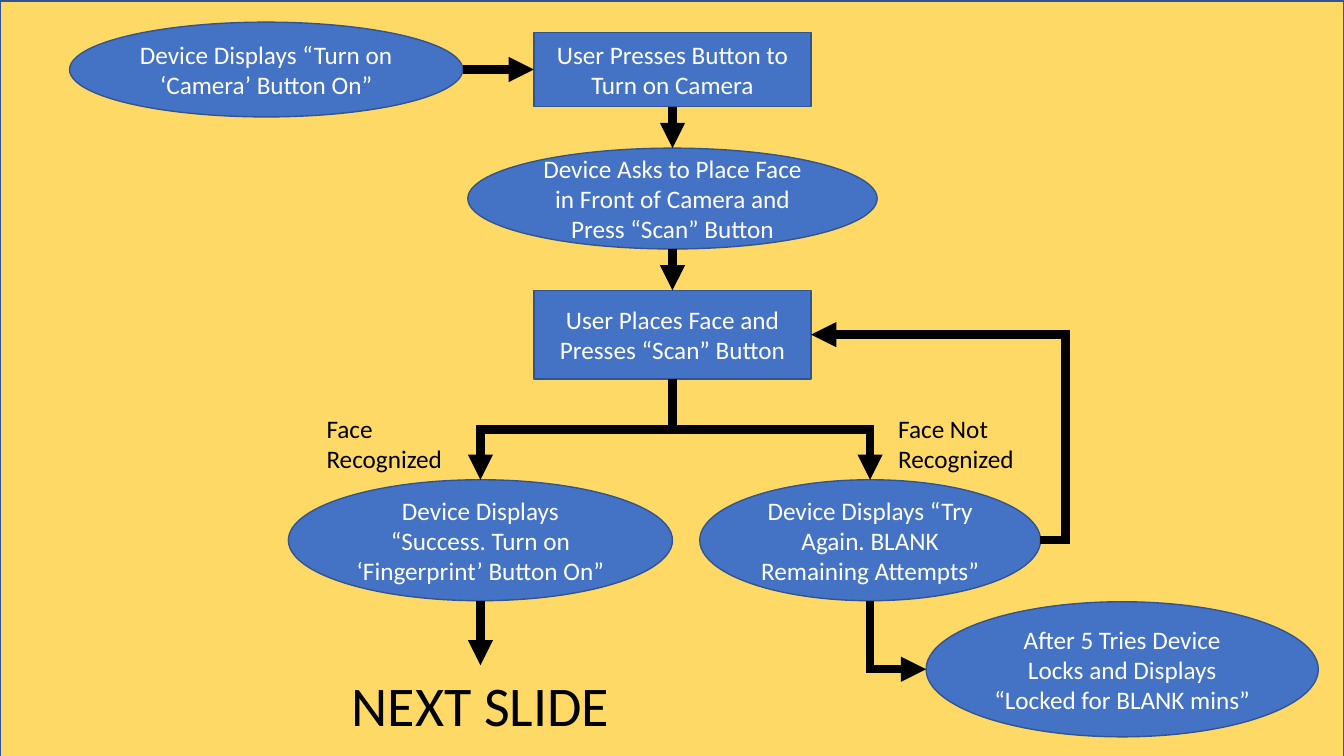
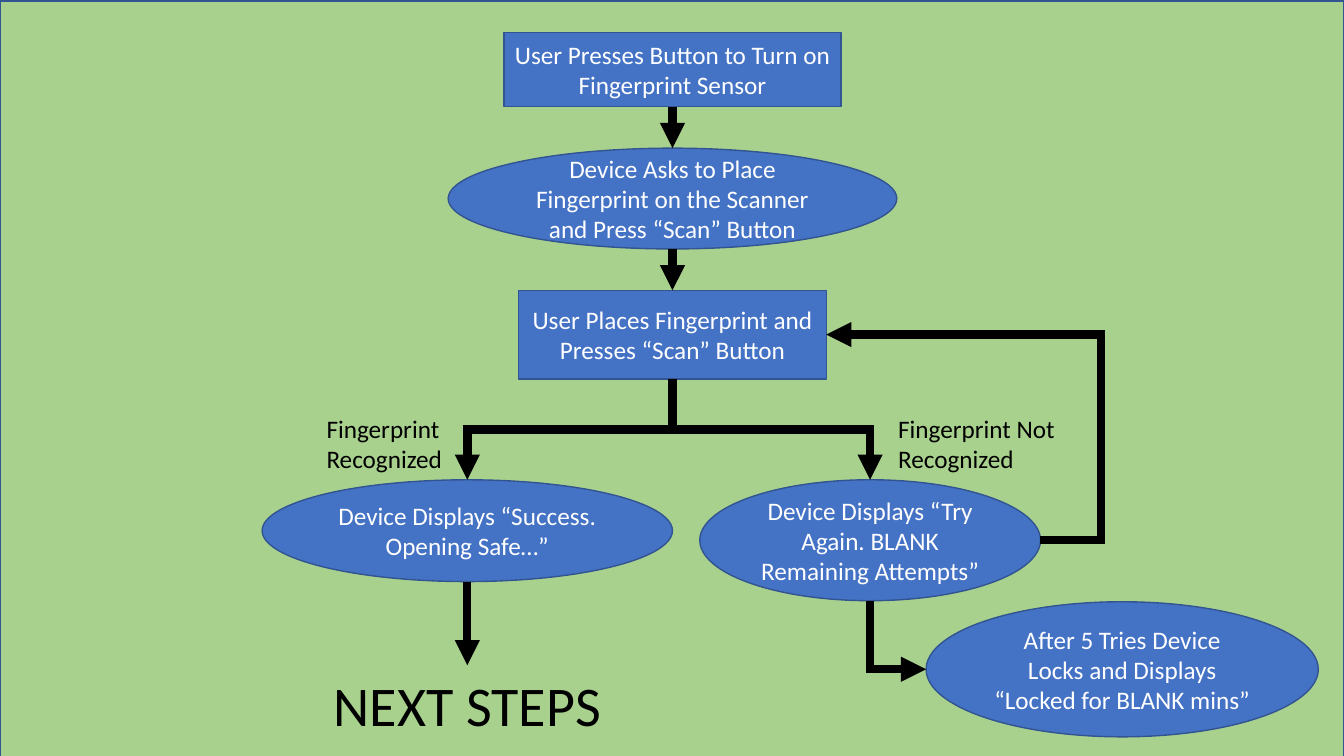
from dataclasses import dataclass

from lxml.etree import SubElement
from pptx import Presentation
from pptx.dml.color import RGBColor
from pptx.enum.shapes import MSO_CONNECTOR, MSO_SHAPE
from pptx.enum.text import MSO_ANCHOR, PP_ALIGN
from pptx.oxml.ns import qn
from pptx.util import Inches, Pt

SLIDE_WIDTH, SLIDE_HEIGHT = 13.33, 7.5
CENTRE = 6.67
RETRY_CENTRE = 8.63
SITES = {"top": 0, "left": 1, "bottom": 2, "right": 3}


@dataclass(frozen=True)
class Theme:
    font: str = "Calibri"
    body_size: int = 18
    closing_size: int = 40
    outline_width: float = 1
    arrow_width: float = 6
    node: RGBColor = RGBColor(0x44, 0x72, 0xC4)
    outline: RGBColor = RGBColor(0x32, 0x54, 0x91)
    light: RGBColor = RGBColor(0xFF, 0xFF, 0xFF)
    dark: RGBColor = RGBColor(0, 0, 0)
    yellow: RGBColor = RGBColor(0xFF, 0xD9, 0x66)
    green: RGBColor = RGBColor(0xA9, 0xD1, 0x8E)


@dataclass(frozen=True)
class ScanStage:
    """What differs between the flowcharts; sizes are in inches."""
    background: RGBColor
    press: str
    press_width: float
    ask: str
    ask_width: float
    scan: str
    scan_width: float
    recognized: str
    not_recognized: str
    not_recognized_width: float
    success: str
    success_width: float
    success_height: float
    loop_reach: float
    closing: str
    intro: str = ""


def side_point(shape, side):
    middle_x = shape.left + shape.width // 2
    middle_y = shape.top + shape.height // 2
    return {
        "top": (middle_x, shape.top),
        "left": (shape.left, middle_y),
        "bottom": (middle_x, shape.top + shape.height),
        "right": (shape.left + shape.width, middle_y),
    }[side]


def is_ellipse(shape):
    return shape.element.spPr.find(qn("a:prstGeom")).get("prst") == "ellipse"


class FlowchartBuilder:
    def __init__(self, presentation, theme):
        self.presentation = presentation
        self.theme = theme
        self.slide = None

    def add_slide(self, background):
        blank_layout = self.presentation.slide_layouts[6]
        self.slide = self.presentation.slides.add_slide(blank_layout)
        self.panel(MSO_SHAPE.RECTANGLE, 0, 0.01, SLIDE_WIDTH, SLIDE_HEIGHT, background)

    def panel(self, kind, left, top, width, height, colour):
        shape = self.slide.shapes.add_shape(
            kind, Inches(left), Inches(top), Inches(width), Inches(height))
        shape.shadow.inherit = False
        shape.fill.solid()
        shape.fill.fore_color.rgb = colour
        shape.line.color.rgb = self.theme.outline
        shape.line.width = Pt(self.theme.outline_width)
        return shape

    def set_text(self, shape, text, size, colour, alignment):
        shape.text_frame.word_wrap = True
        shape.text_frame.text = text
        paragraph = shape.text_frame.paragraphs[0]
        paragraph.alignment = alignment
        font = paragraph.runs[0].font
        font.name = self.theme.font
        font.size = Pt(size)
        font.color.rgb = colour

    def node(self, kind, text, centre, top, width, height):
        shape = self.panel(kind, centre - width / 2, top, width, height, self.theme.node)
        self.set_text(shape, text, self.theme.body_size, self.theme.light, PP_ALIGN.CENTER)
        shape.text_frame.vertical_anchor = MSO_ANCHOR.MIDDLE
        return shape

    def action(self, *details):
        """A step the user takes."""
        return self.node(MSO_SHAPE.RECTANGLE, *details)

    def display(self, *details):
        """A message the device shows."""
        return self.node(MSO_SHAPE.OVAL, *details)

    def label(self, text, left, top, width, height, size, alignment=PP_ALIGN.LEFT):
        box = self.slide.shapes.add_textbox(
            Inches(left), Inches(top), Inches(width), Inches(height))
        self.set_text(box, text, size, self.theme.dark, alignment)
        return box

    def connect(self, kind, start, start_side, end, end_side):
        connector = self.slide.shapes.add_connector(
            kind, *side_point(start, start_side), *side_point(end, end_side))
        ends = ((start, start_side, "a:stCxn", connector.begin_connect),
                (end, end_side, "a:endCxn", connector.end_connect))
        for shape, side, tag, join in ends:
            if is_ellipse(shape):
                # An ellipse has eight sites, so each side's number doubles.
                holder = connector.element.nvCxnSpPr.cNvCxnSpPr
                SubElement(holder, qn(tag), id=str(shape.shape_id), idx=str(2 * SITES[side]))
            else:
                join(shape, SITES[side])
        connector.line.color.rgb = self.theme.dark
        connector.line.width = Pt(self.theme.arrow_width)
        properties = connector.element.spPr
        line = properties.find(qn("a:ln"))
        SubElement(line, qn("a:miter"), lim="800000")
        SubElement(line, qn("a:tailEnd"), type="triangle")
        SubElement(properties, qn("a:effectLst"))
        return connector

    def arrow(self, start, start_side, end, end_side):
        self.connect(MSO_CONNECTOR.STRAIGHT, start, start_side, end, end_side)

    def elbow_down(self, start, end, end_side, preset="bentConnector3"):
        """An elbow that leaves downwards, made by turning a sideways one."""
        connector = self.connect(MSO_CONNECTOR.ELBOW, start, "bottom", end, end_side)
        start_x, start_y = side_point(start, "bottom")
        end_x, end_y = side_point(end, end_side)
        width, height = end_y - start_y, abs(end_x - start_x)
        connector.left = (start_x + end_x - width) // 2
        connector.top = (start_y + end_y - height) // 2
        connector.width, connector.height = width, height
        properties = connector.element.spPr
        frame = properties.find(qn("a:xfrm"))
        goes_right = end_x > start_x
        frame.set("rot", str((270 if goes_right else 90) * 60000))
        frame.set("flipH", "1" if goes_right else "0")
        frame.set("flipV", "0")
        properties.find(qn("a:prstGeom")).set("prst", preset)

    def loop_back(self, start, end, reach):
        """An elbow from right side to right side, passing reach inches beyond."""
        connector = self.connect(MSO_CONNECTOR.ELBOW, start, "right", end, "right")
        bend = -round(100000 * Inches(reach) / connector.width)
        geometry = connector.element.spPr.find(qn("a:prstGeom"))
        adjustments = geometry.find(qn("a:avLst"))
        if adjustments is None:
            adjustments = SubElement(geometry, qn("a:avLst"))
        SubElement(adjustments, qn("a:gd"), name="adj1", fmla=f"val {bend}")

    def flowchart(self, stage):
        body = self.theme.body_size
        self.add_slide(stage.background)
        press = self.action(stage.press, CENTRE, 0.32, stage.press_width, 0.74)
        ask = self.display(stage.ask, CENTRE, 1.47, stage.ask_width, 1)
        scan = self.action(stage.scan, CENTRE, 2.88, stage.scan_width, 0.88)
        success_centre = CENTRE - stage.success_width / 2
        success = self.display(
            stage.success, success_centre, 4.76, stage.success_width, stage.success_height)
        retry = self.display("Device Displays “Try Again. BLANK Remaining Attempts”",
                             RETRY_CENTRE, 4.76, 3.38, 1.2)
        locked = self.display("After 5 Tries Device Locks and Displays “Locked for BLANK mins”",
                              11.13, 5.97, 3.89, 1.34)
        self.label(stage.recognized, 3.14, 4.05, 1.59, 0.71, body)
        self.label(stage.not_recognized, 8.81, 4.05, stage.not_recognized_width, 0.71, body)
        closing = self.label(stage.closing, success_centre - 1.69, 6.6, 3.38, 0.77,
                             self.theme.closing_size, PP_ALIGN.CENTER)
        if stage.intro:
            intro = self.display(stage.intro, 2.64, 0.22, 3.9, 0.94)
            self.arrow(intro, "right", press, "left")
        for upper, lower in ((press, ask), (ask, scan), (success, closing)):
            self.arrow(upper, "bottom", lower, "top")
        for outcome in (success, retry):
            self.elbow_down(scan, outcome, "top")
        self.elbow_down(retry, locked, "left", "bentConnector2")
        self.loop_back(retry, scan, stage.loop_reach)


def main():
    presentation = Presentation()
    presentation.slide_width = Inches(SLIDE_WIDTH)
    presentation.slide_height = Inches(SLIDE_HEIGHT)
    theme = Theme()
    face = ScanStage(
        background=theme.yellow,
        intro="Device Displays “Turn on ‘Camera’ Button On”",
        press="User Presses Button to Turn on Camera", press_width=2.75,
        ask="Device Asks to Place Face in Front of Camera and Press “Scan” Button",
        ask_width=4.06,
        scan="User Places Face and Presses “Scan” Button", scan_width=2.75,
        recognized="Face Recognized",
        not_recognized="Face Not Recognized", not_recognized_width=1.52,
        success="Device Displays “Success. Turn on ‘Fingerprint’ Button On”",
        success_width=3.81, success_height=1.2,
        loop_reach=0.25, closing="NEXT SLIDE")
    fingerprint = ScanStage(
        background=theme.green,
        press="User Presses Button to Turn on Fingerprint Sensor", press_width=3.34,
        ask="Device Asks to Place Fingerprint on the Scanner and Press “Scan” Button",
        ask_width=4.45,
        scan="User Places Fingerprint and Presses “Scan” Button", scan_width=3.05,
        recognized="Fingerprint Recognized",
        not_recognized="Fingerprint Not Recognized", not_recognized_width=1.79,
        success="Device Displays “Success. Opening Safe…”",
        success_width=4.07, success_height=1.01,
        loop_reach=0.6, closing="NEXT STEPS")
    builder = FlowchartBuilder(presentation, theme)
    for stage in (face, fingerprint):
        builder.flowchart(stage)
    presentation.save("out.pptx")


if __name__ == "__main__":
    main()
